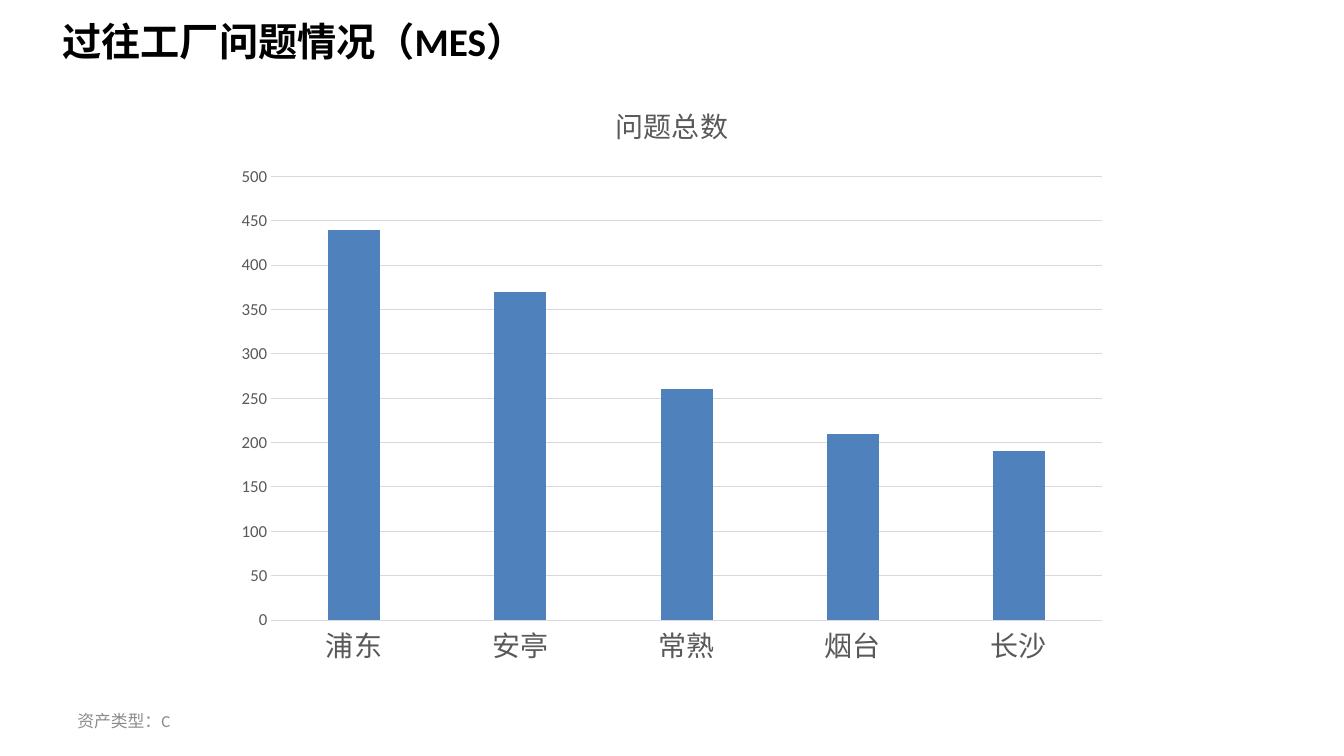
from pptx import Presentation
from pptx.chart.data import CategoryChartData
from pptx.dml.color import RGBColor
from pptx.enum import chart as kinds, text
from pptx.util import Cm, Pt

LATIN = "Calibri"
CHINESE = "Noto Sans CJK SC"
GREY = "595959"
RULE = "D9D9D9"
PLANT_PROBLEMS = {"浦东": 440, "安亭": 370, "常熟": 260, "烟台": 210, "长沙": 190}


def colour(value):
    return RGBColor.from_string(value)


def style_font(font, size, shade, name=LATIN, bold=False):
    font.size = Pt(size)
    font.name = name
    font.bold = bold
    font.color.rgb = colour(shade)


def style_line(line, shade):
    line.color.rgb = colour(shade)
    line.width = Pt(0.75)


def place(shape, left, top, width, height):
    shape.left, shape.top = Cm(left), Cm(top)
    shape.width, shape.height = Cm(width), Cm(height)


def write_line(shape, words, size, shade, bold=False):
    """Fill a shape with one left-aligned, vertically centred line."""
    frame = shape.text_frame
    frame.word_wrap = True
    frame.vertical_anchor = text.MSO_ANCHOR.MIDDLE
    para = frame.paragraphs[0]
    para.alignment = text.PP_ALIGN.LEFT
    span = para.add_run()
    span.text = words
    style_font(span.font, size, shade, bold=bold)


def add_title(page, words):
    title = page.shapes.title
    place(title, 1.32, 0.3, 25.35, 1.45)
    write_line(title, words, 28, "000000", bold=True)


def add_footer(page, words):
    box = page.shapes.add_textbox(Cm(1.7), Cm(17.65), Cm(7.9), Cm(1.02))
    write_line(box, words, 12, "8C8C8C")


def style_axes(chart):
    plants, counts = chart.category_axis, chart.value_axis
    for axis in (plants, counts):
        axis.major_tick_mark = kinds.XL_TICK_MARK.NONE
        axis.minor_tick_mark = kinds.XL_TICK_MARK.NONE
    style_font(plants.tick_labels.font, 20, GREY, CHINESE)
    style_line(plants.format.line, RULE)
    style_font(counts.tick_labels.font, 12, GREY)
    counts.format.line.fill.background()
    counts.minimum_scale, counts.maximum_scale = 0, 500
    counts.major_unit = 50
    counts.has_major_gridlines = True
    style_line(counts.major_gridlines.format.line, RULE)


def add_problem_chart(page, heading, problems):
    data = CategoryChartData()
    data.categories = list(problems)
    data.add_series(heading, list(problems.values()))
    chart = page.shapes.add_chart(
        kinds.XL_CHART_TYPE.COLUMN_STACKED,
        Cm(5.64), Cm(2), Cm(22.58), Cm(15.06), data).chart
    style_font(chart.font, 10, "000000")
    chart.has_legend = False
    chart.has_title = True
    span = chart.chart_title.text_frame.paragraphs[0].add_run()
    span.text = heading
    style_font(span.font, 20, GREY, CHINESE)
    chart.chart_title.include_in_layout = False
    style_axes(chart)
    plot = chart.plots[0]
    plot.gap_width, plot.overlap = 219, 100
    plot.vary_by_categories = False
    fill = plot.series[0].format.fill
    fill.solid()
    fill.fore_color.rgb = colour("4F81BD")


def main():
    deck = Presentation()
    deck.slide_width, deck.slide_height = Cm(33.87), Cm(19.05)
    page = deck.slides.add_slide(deck.slide_layouts.get_by_name("Title Only"))
    add_title(page, "过往工厂问题情况（MES）")
    add_footer(page, "资产类型：C")
    add_problem_chart(page, "问题总数", PLANT_PROBLEMS)
    deck.save("out.pptx")


if __name__ == "__main__":
    main()
